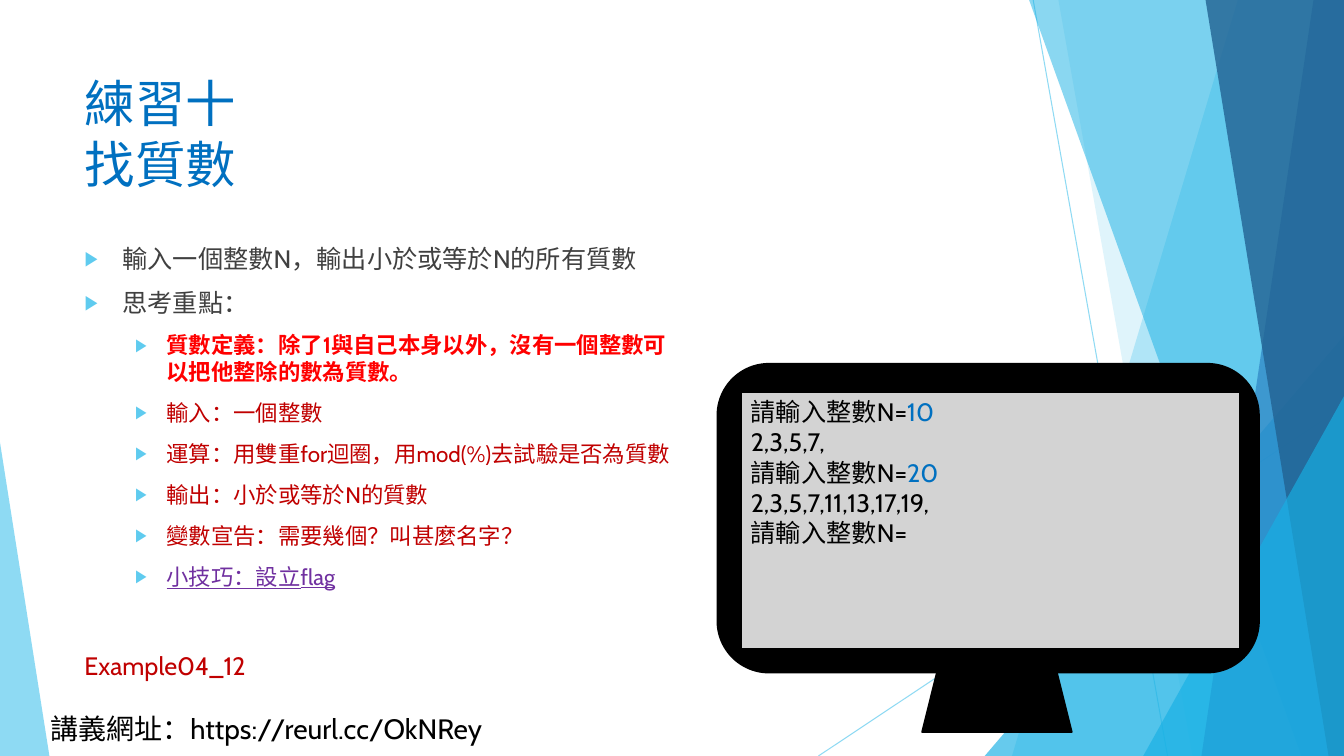
"""Build the prime-number exercise slide."""
from copy import deepcopy
from dataclasses import dataclass

from lxml import etree
from pptx import Presentation
from pptx import util as u
from pptx.dml.color import RGBColor
from pptx.enum import shapes, text
from pptx.oxml import ns

FONT = "Cabin"
WIDTH, HEIGHT = 960, 540
BLACK = RGBColor(0x00, 0x00, 0x00)
GREY = RGBColor(0x40, 0x40, 0x40)
SCREEN_GREY = RGBColor(0xD3, 0xD3, 0xD3)
BLUE = RGBColor(0x00, 0x70, 0xC0)
RED = RGBColor(0xFF, 0x00, 0x00)
DARK_RED = RGBColor(0xC0, 0x00, 0x00)
PURPLE = RGBColor(0x70, 0x30, 0xA0)
SKY = RGBColor(0x5F, 0xCB, 0xEF)
CYAN = RGBColor(0x17, 0xB0, 0xE4)
STEEL = RGBColor(0x2E, 0x83, 0xC3)
NAVY = RGBColor(0x22, 0x62, 0x92)


@dataclass(frozen=True)
class Ray:
    start: tuple
    end: tuple


@dataclass(frozen=True)
class Band:
    top_left: float
    bottom_left: float
    color: RGBColor
    opacity: int


@dataclass(frozen=True)
class Wedge:
    left: float
    top: float
    width: float
    apex: int
    color: RGBColor
    opacity: int


@dataclass(frozen=True)
class Bullet:
    content: str
    level: int = 1
    color: RGBColor = DARK_RED
    bold: bool = False
    underline: bool = False


DECORATION = [
    Ray((738, 0), (834, HEIGHT)),
    Ray((WIDTH, 290.2), (584.6, HEIGHT)),
    Band(884.2, 722.9, SKY, 36),
    Band(756, 851.8, SKY, 20),
    Wedge(703.4, 239.8, 256.6, 1, CYAN, 66),
    Band(735.1, 929.5, CYAN, 50),
    Band(938.2, 858.2, STEEL, 70),
    Band(861.1, 949, NAVY, 80),
    Wedge(816.6, 283, 143.4, 1, CYAN, 66),
    Wedge(0, 316.1, 35.3, 0, SKY, 70),
]
BULLETS = [
    Bullet("輸入一個整數N，輸出小於或等於N的所有質數", 0, GREY),
    Bullet("思考重點：", 0, GREY),
    Bullet("質數定義：除了1與自己本身以外，沒有一個整數可以把他整除的數為質數。", color=RED, bold=True),
    Bullet("輸入：一個整數"),
    Bullet("運算：用雙重for迴圈，用mod(%)去試驗是否為質數"),
    Bullet("輸出：小於或等於N的質數"),
    Bullet("變數宣告：需要幾個？叫甚麼名字？"),
    Bullet("小技巧：設立flag", color=PURPLE, underline=True),
]
LEVELS = [(27, -27, 18), (58.5, -22.5, 16)]
PROMPT = "請輸入整數N="
CONSOLE = [(PROMPT, "10"), ("2,3,5,7,", ""), (PROMPT, "20"), ("2,3,5,7,11,13,17,19,", ""), (PROMPT, "")]


def write(paragraph, content: str, *, size: float = 18, color: RGBColor = BLACK,
          bold: bool = False, underline: bool = False) -> None:
    paragraph.alignment = text.PP_ALIGN.LEFT
    run = None
    for line in content.split("\v"):
        if run is not None:
            paragraph.add_line_break()
            paragraph._p[-1].append(deepcopy(run._r.rPr))
        run = paragraph.add_run()
        run.text = line
        font = run.font
        font.name, font.size, font.bold, font.underline = FONT, u.Pt(size), bold, underline
        font.color.rgb = color


def next_paragraph(frame, index: int):
    return frame.add_paragraph() if index else frame.paragraphs[0]


def set_opacity(shape, percent: int) -> None:
    color = next(shape._element.spPr.iter(ns.qn("a:srgbClr")))
    etree.SubElement(color, ns.qn("a:alpha"), val=str(percent * 1000))


def paint(shape, color: RGBColor, opacity: int) -> None:
    shape.shadow.inherit = False
    shape.fill.solid()
    shape.fill.fore_color.rgb = color
    shape.line.fill.background()
    set_opacity(shape, opacity)


def draw_ray(slide, ray: Ray) -> None:
    connector = slide.shapes.add_connector(
        shapes.MSO_CONNECTOR.STRAIGHT, *(u.Pt(value) for value in ray.start + ray.end))
    connector.line.color.rgb = SKY
    connector.line.width = u.Pt(0.75)
    set_opacity(connector, 70)
    etree.SubElement(connector._element.spPr, ns.qn("a:effectLst"))


def draw_band(slide, band: Band) -> None:
    corners = [(WIDTH, 0), (WIDTH, HEIGHT), (band.bottom_left, HEIGHT)]
    builder = slide.shapes.build_freeform(u.Pt(band.top_left), 0)
    builder.add_line_segments([(u.Pt(x), u.Pt(y)) for x, y in corners], close=True)
    paint(builder.convert_to_shape(), band.color, band.opacity)


def draw_wedge(slide, wedge: Wedge) -> None:
    box = (wedge.left, wedge.top, wedge.width, HEIGHT - wedge.top)
    shape = slide.shapes.add_shape(shapes.MSO_SHAPE.ISOSCELES_TRIANGLE, *map(u.Pt, box))
    shape.adjustments[0] = wedge.apex
    paint(shape, wedge.color, wedge.opacity)


def draw_monitor_part(slide, kind, box: tuple, color: RGBColor):
    shape = slide.shapes.add_shape(kind, *map(u.Pt, box))
    shape.shadow.inherit = False
    shape.fill.solid()
    shape.fill.fore_color.rgb = color
    shape.line.color.rgb = BLACK
    shape.line.width = u.Pt(1.5)
    return shape


def add_label(slide, box: tuple, content: str, size: float, color: RGBColor) -> None:
    frame = slide.shapes.add_textbox(*map(u.Pt, box)).text_frame
    frame.word_wrap = False
    frame.auto_size = text.MSO_AUTO_SIZE.SHAPE_TO_FIT_TEXT
    write(frame.paragraphs[0], content, size=size, color=color)


def place(placeholder, box: tuple):
    placeholder.left, placeholder.top, placeholder.width, placeholder.height = map(u.Pt, box)
    placeholder._element.getparent().append(placeholder._element)
    frame = placeholder.text_frame
    frame.word_wrap = True
    frame.auto_size = text.MSO_AUTO_SIZE.NONE
    frame.vertical_anchor = text.MSO_ANCHOR.TOP
    return frame


def add_bullet(paragraph, bullet: Bullet, space_before: float) -> None:
    margin, indent, size = LEVELS[bullet.level]
    paragraph.level = bullet.level
    properties = paragraph._p.get_or_add_pPr()
    properties.set("marL", str(u.Pt(margin)))
    properties.set("indent", str(u.Pt(indent)))
    color = etree.SubElement(properties, ns.qn("a:buClr"))
    etree.SubElement(color, ns.qn("a:srgbClr"), val=str(SKY))
    etree.SubElement(properties, ns.qn("a:buSzPct"), val="80000")
    etree.SubElement(properties, ns.qn("a:buFont"), typeface="Arial")
    etree.SubElement(properties, ns.qn("a:buChar"), char="▶")
    paragraph.space_before = u.Pt(space_before)
    write(paragraph, bullet.content, size=size, color=bullet.color,
          bold=bullet.bold, underline=bullet.underline)


def main() -> None:
    presentation = Presentation()
    presentation.slide_width, presentation.slide_height = u.Pt(WIDTH), u.Pt(HEIGHT)
    slide = presentation.slides.add_slide(presentation.slide_layouts[1])

    drawers = {Ray: draw_ray, Band: draw_band, Wedge: draw_wedge}
    for item in DECORATION:
        drawers[type(item)](slide, item)
    add_label(slide, (28.8, 504.7, 340.6, 31.5), "講義網址：https://reurl.cc/OkNRey", 20, BLACK)

    title = place(slide.shapes.title, (53.3, 48, 676.8, 104))
    write(title.paragraphs[0], "練習十\v找質數", size=36, color=BLUE)
    body = place(slide.placeholders[1], (53.3, 170, 445.7, 305.3))
    for index, bullet in enumerate(BULLETS):
        add_bullet(next_paragraph(body, index), bullet, 10 if index else 0)

    kinds = shapes.MSO_SHAPE
    draw_monitor_part(slide, kinds.ROUNDED_RECTANGLE, (512.6, 260, 386.6, 220.3), BLACK)
    screen = draw_monitor_part(slide, kinds.RECTANGLE, (529.2, 279.7, 356.4, 183.6), SCREEN_GREY)
    screen.text_frame.vertical_anchor = text.MSO_ANCHOR.TOP
    for index, (output, answer) in enumerate(CONSOLE):
        paragraph = next_paragraph(screen.text_frame, index)
        write(paragraph, output)
        if answer:
            write(paragraph, answer, color=BLUE)
    draw_monitor_part(slide, kinds.TRAPEZOID, (658.8, 480.3, 106.6, 42.5), BLACK)
    add_label(slide, (53.3, 460.8, 131.8, 29), "Example04_12", 18, DARK_RED)
    presentation.save("out.pptx")


if __name__ == "__main__":
    main()
